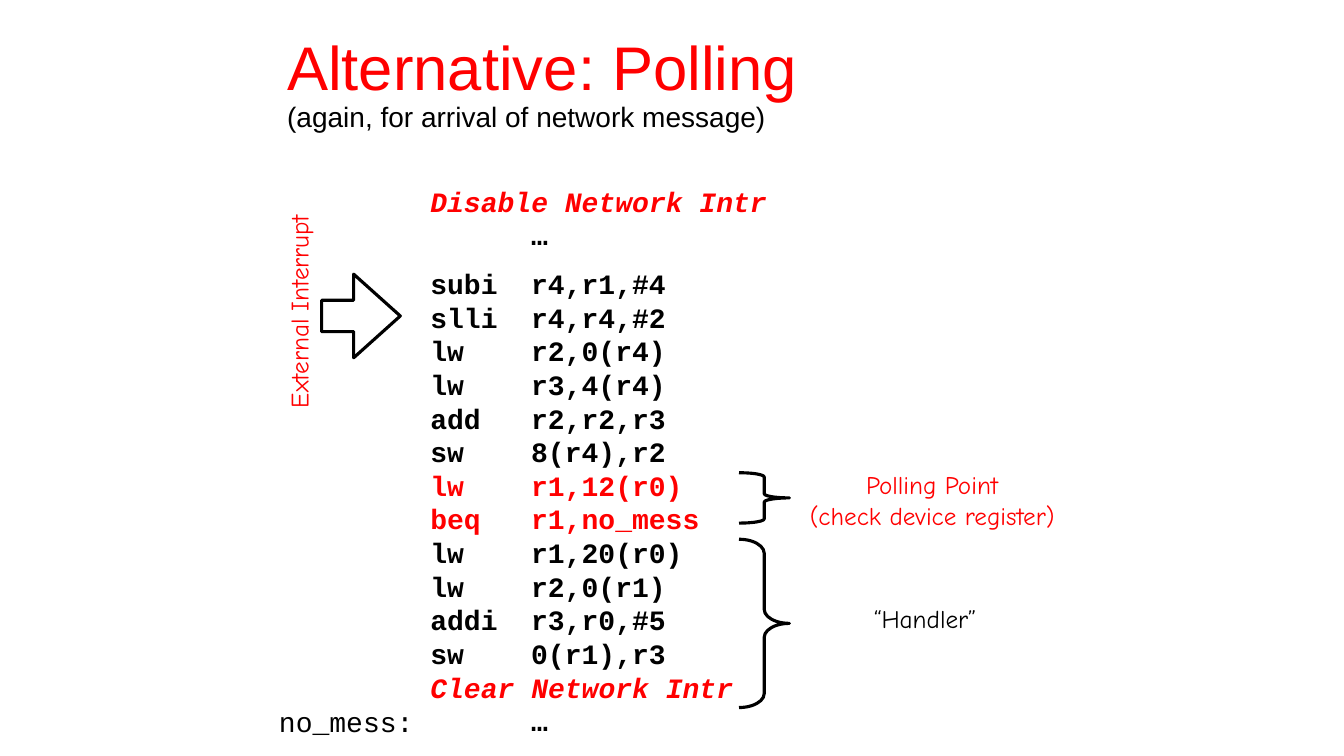
from dataclasses import dataclass

from lxml import etree
from pptx import Presentation
from pptx.dml.color import RGBColor
from pptx.enum.shapes import MSO_SHAPE
from pptx.enum.text import MSO_ANCHOR, MSO_AUTO_SIZE, PP_ALIGN
from pptx.oxml.ns import qn
from pptx.util import Pt

PX = 9144  # EMU; 100 px to the inch
ARROW, BRACE = MSO_SHAPE.RIGHT_ARROW, MSO_SHAPE.RIGHT_BRACE
LEFT, CENTER = PP_ALIGN.LEFT, PP_ALIGN.CENTER
MIDDLE = MSO_ANCHOR.MIDDLE
GROW, FIXED = MSO_AUTO_SIZE.SHAPE_TO_FIT_TEXT, MSO_AUTO_SIZE.NONE


@dataclass(frozen=True)
class Theme:
    red: RGBColor = RGBColor(255, 0, 0)
    black: RGBColor = RGBColor(0, 0, 0)
    heading: str = "Arial"
    note: str = "Comic Neue"
    code: str = "Courier New"
    title_size: int = 44
    code_size: int = 20
    note_size: int = 18
    line_width: float = 2.25
    code_tab: int = 100
    code_gap: int = 11


T = Theme()
PLAIN = {"name": T.code, "size": Pt(T.code_size), "color": T.black}
CODE = {**PLAIN, "bold": True}
POLL = {**CODE, "color": T.red}
MASK = {**POLL, "italic": True}
NOTE = {"name": T.note, "size": Pt(T.note_size), "color": T.black}
RED_NOTE = {**NOTE, "color": T.red}
TITLE = {"name": T.heading, "size": Pt(T.title_size), "color": T.red}
SUBTITLE = {**TITLE, "size": Pt(T.code_size), "color": T.black}

LISTING = [
    (MASK, ["Disable Network Intr"]),
    (CODE, ["\t…", "subi\tr4,r1,#4", "slli\tr4,r4,#2", "lw\tr2,0(r4)",
            "lw\tr3,4(r4)", "add\tr2,r2,r3", "sw\t8(r4),r2"]),
    (POLL, ["lw\tr1,12(r0)", "beq\tr1,no_mess"]),
    (CODE, ["lw\tr1,20(r0)", "lw\tr2,0(r1)", "addi\tr3,r0,#5", "sw\t0(r1),r3"]),
    (MASK, ["Clear Network Intr"]),
    (CODE, ["\t…"]),
]
FIRST_INSTRUCTION = 2


def box_px(*lengths):
    return [n * PX for n in lengths]


def add_run(p, text, style):
    r = p.add_run()
    r.text = text
    for key, value in style.items():
        if key == "color":
            r.font.color.rgb = value
        else:
            setattr(r.font, key, value)


def add_text(shapes, box, lines, align=CENTER, wrap=False, size=GROW):
    """Add a text box with one paragraph for each (text, style) pair."""
    sp = shapes.add_textbox(*box_px(*box))
    tf = sp.text_frame
    for key, value in {"word_wrap": wrap, "auto_size": size,
                       "vertical_anchor": MIDDLE}.items():
        setattr(tf, key, value)
    for i, (text, style) in enumerate(lines):
        p = tf.add_paragraph() if i else tf.paragraphs[0]
        p.alignment = align
        add_run(p, text, style)
    return sp


def add_outline(shapes, kind, box, adjustments):
    sp = shapes.add_shape(kind, *box_px(*box))
    sp.shadow.inherit = False
    sp.fill.background()
    sp.line.color.rgb = T.black
    sp.line.width = Pt(T.line_width)
    for i, value in enumerate(adjustments):
        sp.adjustments[i] = value


def add_title(shapes):
    sp = add_text(shapes, (275, 22, 783, 125), [("Alternative: Polling", TITLE)],
                  LEFT, True, FIXED)
    p = sp.text_frame.paragraphs[0]
    p.line_spacing = 0.9
    p.add_line_break()
    add_run(p, "(again, for arrival of network message)", SUBTITLE)


def add_listing(shapes):
    lines = [(text, style) for style, texts in LISTING for text in texts]
    sp = add_text(shapes, (417, 177, 367, 560), lines, LEFT, True)
    paragraphs = sp.text_frame.paragraphs
    for p in paragraphs:
        tabs = etree.SubElement(p._p.get_or_add_pPr(), qn("a:tabLst"))
        etree.SubElement(tabs, qn("a:tab"), pos=str(T.code_tab * PX), algn="l")
    paragraphs[FIRST_INSTRUCTION].space_before = Pt(T.code_gap)


def add_interrupt(shapes):
    group = shapes.add_group_shape().shapes
    add_outline(group, ARROW, (319, 272, 78, 83), (0.375, 0.593))
    label = add_text(group, (172, 289, 248, 40), [("External Interrupt", RED_NOTE)])
    label.rotation = 270


def main():
    prs = Presentation()
    prs.slide_width, prs.slide_height = box_px(1333, 750)
    shapes = prs.slides.add_slide(prs.slide_layouts[6]).shapes
    add_listing(shapes)
    add_title(shapes)
    add_interrupt(shapes)
    add_outline(shapes, BRACE, (733, 535, 50, 167), (0.278, 0.5))
    add_text(shapes, (850, 594, 135, 40), [("“Handler”", NOTE)])
    add_text(shapes, (263, 694, 161, 43), [("no_mess:", PLAIN)])
    add_outline(shapes, BRACE, (733, 469, 50, 50), (0.083, 0.5))
    add_text(shapes, (775, 461, 299, 70),
             [("Polling Point", RED_NOTE), ("(check device register)", RED_NOTE)])
    prs.save("out.pptx")


if __name__ == "__main__":
    main()
